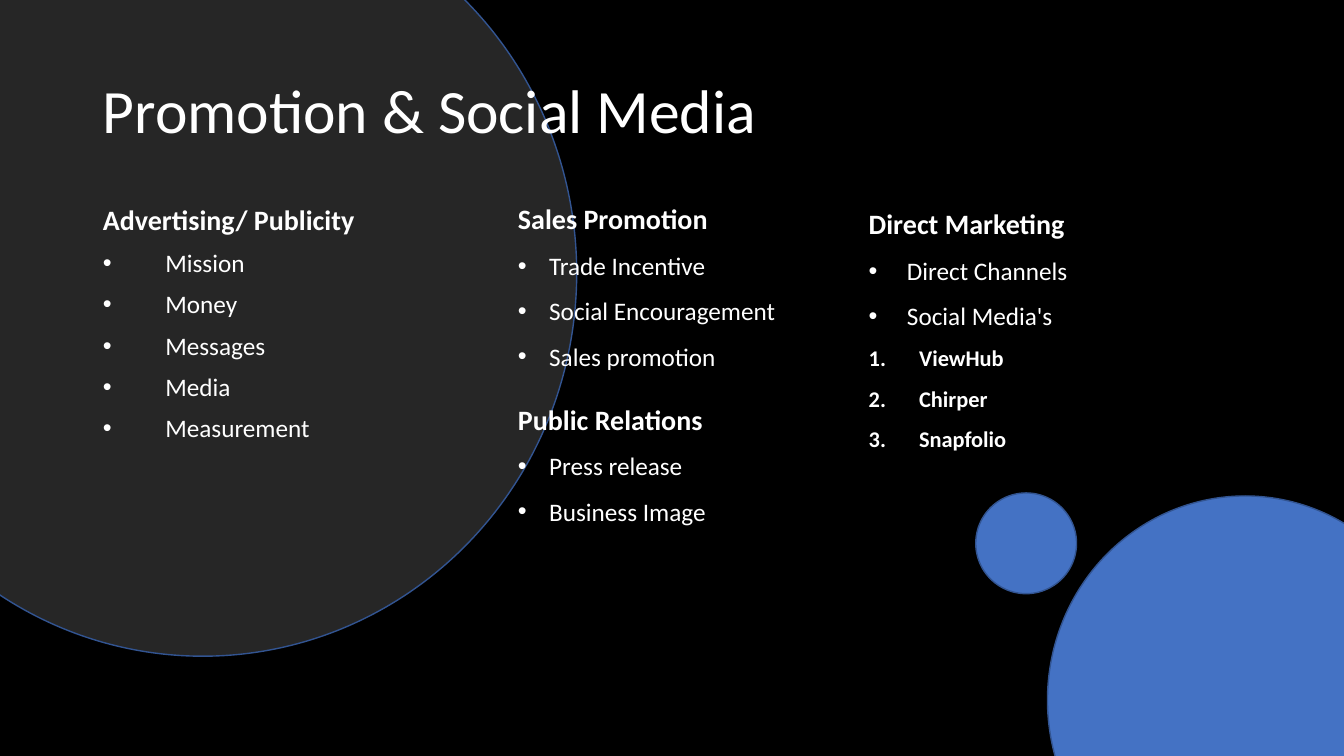
from collections import namedtuple

from lxml.etree import SubElement
from pptx import Presentation
from pptx.dml.color import RGBColor
from pptx.enum.shapes import MSO_SHAPE as Preset
from pptx.enum.text import MSO_ANCHOR as Anchor, MSO_AUTO_SIZE as AutoSize, PP_ALIGN as Align
from pptx.oxml.ns import qn
from pptx.util import Inches, Pt

WIDTH, HEIGHT = Inches(13.33), Inches(7.5)
FONT = "Calibri"
BLACK, WHITE, GREY, BLUE, OUTLINE = "000000", "FFFFFF", "262626", "4472C4", "325491"

Box = namedtuple("Box", "left top width height")
# marker: None, "bullet" or "number"; indent in inches, gap before in points
Style = namedtuple("Style", "size bold marker indent line gap")

HEADING = Style(20, True, None, 0, 1, 0)
LATER_HEADING = HEADING._replace(gap=22)
BODY_HEADING = HEADING._replace(line=0.9, gap=10)
BODY_ITEM = Style(18, False, "bullet", 0.62, 0.9, 10)
ITEM = Style(18, False, "bullet", 0.31, 1.5, 0)
WIDE_ITEM = ITEM._replace(indent=0.38)
NUMBERED = Style(16, True, "number", 0.5, 1.5, 0)


def share(left, top, width, height):
    """Turn percentages of the slide's size into a box."""
    return Box(int(WIDTH * left / 100), int(HEIGHT * top / 100),
               int(WIDTH * width / 100), int(HEIGHT * height / 100))


def paint(target, colour):
    """Give a fill or a line fill one solid colour."""
    target.solid()
    target.fore_color.rgb = RGBColor.from_string(colour)


def place(shape, box):
    """Move a shape into a box."""
    shape.left, shape.top, shape.width, shape.height = box


def set_marker(para, style):
    """Set the indent and the bullet or number of a paragraph."""
    props = para._p.get_or_add_pPr()
    indent = Inches(style.indent)
    props.set("marL", str(indent))
    props.set("indent", str(-indent))
    if style.marker == "bullet":
        SubElement(props, qn("a:buFont"), typeface="Arial")
        SubElement(props, qn("a:buChar"), char="\u2022")
    elif style.marker == "number":
        SubElement(props, qn("a:buAutoNum"), type="arabicPeriod")
    else:
        SubElement(props, qn("a:buNone"))


def set_font(para, size, bold=False):
    """Set the white slide font on a paragraph."""
    para.font.name, para.font.size, para.font.bold = FONT, Pt(size), bold
    paint(para.font.fill, WHITE)


def fill_list(frame, groups):
    """Write groups of (style, lines) into a text frame."""
    frame.word_wrap = True
    frame.auto_size = AutoSize.NONE
    lines = [(style, text) for style, texts in groups for text in texts]
    for index, (style, text) in enumerate(lines):
        para = frame.add_paragraph() if index else frame.paragraphs[0]
        para.text = text
        set_marker(para, style)
        para.line_spacing = style.line
        para.space_before = Pt(style.gap)
        set_font(para, style.size, style.bold)


def add_title(page, box, text):
    """Place the title placeholder in its box."""
    title = page.shapes.title
    place(title, box)
    frame = title.text_frame
    frame.text = text
    frame.auto_size = AutoSize.NONE
    frame.vertical_anchor = Anchor.MIDDLE
    para = frame.paragraphs[0]
    para.alignment = Align.LEFT
    para.line_spacing = 0.9
    set_font(para, 44)


def add_body(page, box, groups):
    """Place the body placeholder in its box."""
    body = page.placeholders[1]
    place(body, box)
    fill_list(body.text_frame, groups)


def add_column(page, box, groups):
    """Add a free text column in its box."""
    fill_list(page.shapes.add_textbox(*box).text_frame, groups)


def add_circles(page, circles):
    """Draw outlined circles behind the text, the first one at the back."""
    for depth, (box, colour) in enumerate(circles):
        circle = page.shapes.add_shape(Preset.OVAL, *box)
        circle.shadow.inherit = False
        paint(circle.fill, colour)
        paint(circle.line.fill, OUTLINE)
        circle.line.width = Pt(1)
        page.shapes._spTree.insert(2 + depth, circle._element)


def build_promotion_slide(deck):
    """Build the promotion slide: circles, title and three columns."""
    page = deck.slides.add_slide(deck.slide_layouts[1])
    paint(page.background.fill, BLACK)
    add_circles(page, [
        (share(-12.75, -14.53, 55.66, 101.33), GREY),
        (share(77.94, 65.6, 29.41, 54), BLUE),
        (share(72.6, 65.2, 7.5, 13.33), BLUE),
    ])
    add_title(page, share(6.9, 5.33, 86.25, 19.33), "Promotion & Social Media")
    add_body(page, share(6.9, 26.67, 43.14, 63.47), [
        (BODY_HEADING, ["Advertising/ Publicity"]),
        (BODY_ITEM, ["Mission", "Money", "Messages", "Media", "Measurement"]),
    ])
    add_column(page, share(37.8, 26, 24.53, 74), [
        (HEADING, ["Sales Promotion"]),
        (ITEM, ["Trade Incentive", "Social Encouragement", "Sales promotion"]),
        (LATER_HEADING, ["Public Relations"]),
        (ITEM, ["Press release", "Business Image"]),
    ])
    add_column(page, share(63.9, 26.67, 22.5, 33.6), [
        (HEADING, ["Direct Marketing"]),
        (WIDE_ITEM, ["Direct Channels", "Social Media's"]),
        (NUMBERED, ["ViewHub", "Chirper", "Snapfolio"]),
    ])


deck = Presentation()
deck.slide_width, deck.slide_height = WIDTH, HEIGHT
build_promotion_slide(deck)
deck.save("out.pptx")
